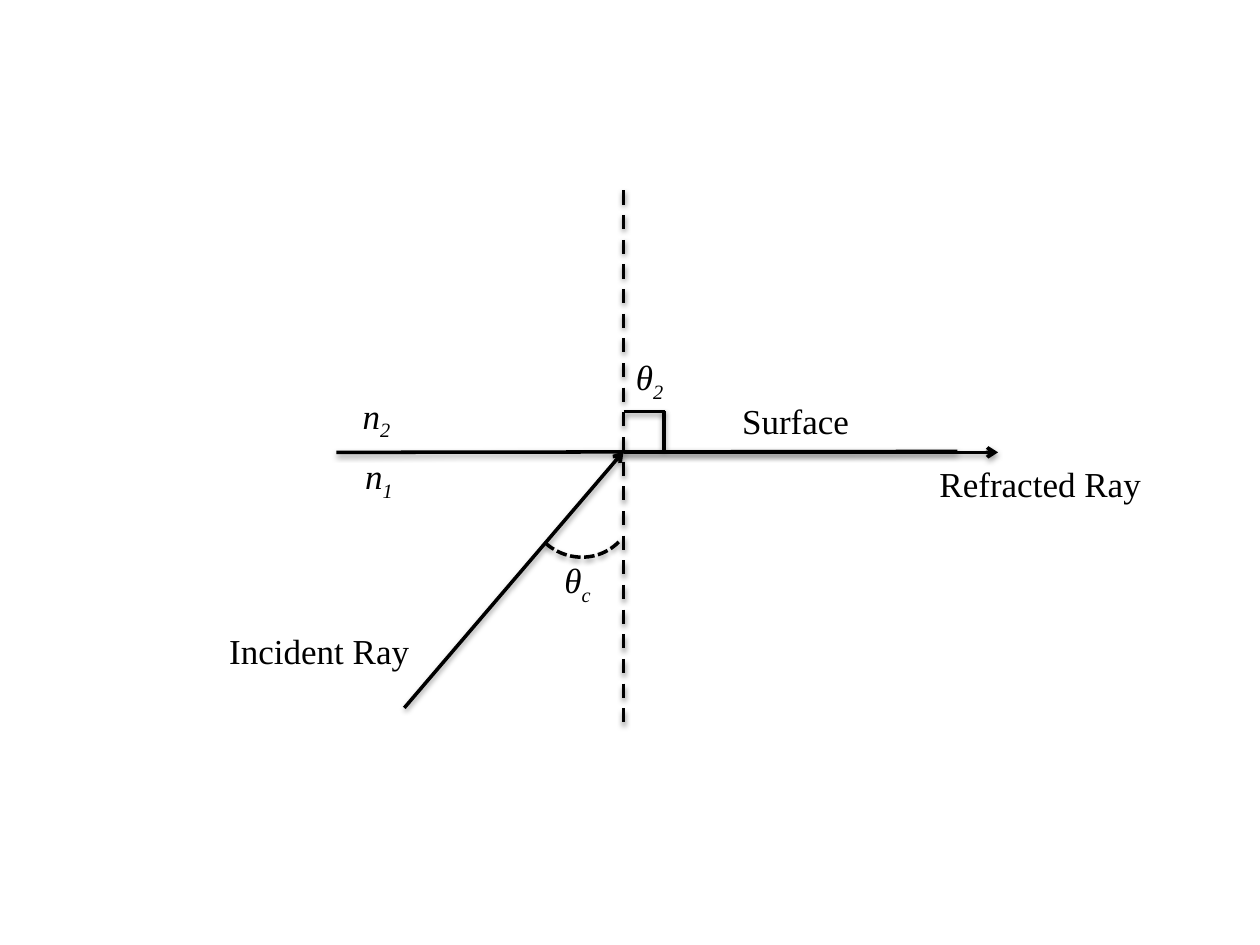
from lxml.etree import SubElement
from pptx import Presentation
from pptx.dml.color import RGBColor
from pptx.enum.dml import MSO_LINE
from pptx.enum.shapes import MSO_CONNECTOR, MSO_SHAPE
from pptx.enum.text import MSO_AUTO_SIZE
from pptx.oxml.ns import qn
from pptx.util import Cm, Pt

BLACK = RGBColor(0, 0, 0)
FONT = "Times New Roman"


def style_stroke(sp, dash=None, arrow=False):
    """Give a line or arc its black stroke, arrowhead and soft shadow."""
    sp.line.color.rgb = BLACK
    sp.line.width = Pt(2)
    if dash:
        sp.line.dash_style = dash
    spPr = sp._element.spPr
    if arrow:
        SubElement(spPr.find(qn("a:ln")), qn("a:tailEnd"), type="arrow")
    effects = spPr.find(qn("a:effectLst"))
    if effects is None:
        effects = SubElement(spPr, qn("a:effectLst"))
    shadow = SubElement(effects, qn("a:outerShdw"), blurRad="40000",
                        dist="20000", dir="5400000", rotWithShape="0")
    color = SubElement(shadow, qn("a:srgbClr"), val="000000")
    SubElement(color, qn("a:alpha"), val="38000")


def add_rays(s, x, y):
    """Draw the surface, normal, rays and angle marks around the point x, y."""
    lines = [
        (-5.79, 0.02, 6.73, 0, None, False),  # surface
        (-4.42, 5.17, 0, 0, None, True),  # incident ray
        (0, 0.02, 7.55, 0.02, None, True),  # refracted ray
        (0, -5.26, 0, 5.5, MSO_LINE.DASH, False),  # normal
        (0, -0.8, 0.83, -0.8, None, False),  # right angle, top
        (0.82, -0.82, 0.82, -0.03, None, False),  # right angle, side
    ]
    for x1, y1, x2, y2, dash, arrow in lines:
        line = s.shapes.add_connector(MSO_CONNECTOR.STRAIGHT, Cm(x + x1),
                                      Cm(y + y1), Cm(x + x2), Cm(y + y2))
        style_stroke(line, dash, arrow)

    arc = s.shapes.add_shape(MSO_SHAPE.ARC, Cm(x - 1.93), Cm(y - 0.03),
                             Cm(2.11), Cm(2.18))
    arc.rotation = 134.6
    arc.fill.background()
    arc.shadow.inherit = False
    style_stroke(arc, MSO_LINE.SQUARE_DOT)


def add_label(s, left, top, width, text, subscript=""):
    """Place a label; one with a subscript is a symbol set in italics."""
    sp = s.shapes.add_textbox(Cm(left), Cm(top), Cm(width), Cm(1.11))
    tf = sp.text_frame
    tf.word_wrap = True
    tf.auto_size = MSO_AUTO_SIZE.SHAPE_TO_FIT_TEXT
    p = tf.paragraphs[0]
    p.font.name = FONT
    p.font.size = Pt(20)
    p.font.color.rgb = BLACK
    p.add_run().text = text
    if subscript:
        p.font.italic = True
        r = p.add_run()
        r.text = subscript
        r.font._element.set("baseline", "-25000")


def add_labels(s, x, y):
    """Name the rays, media and angles around the point x, y."""
    for dx, dy, width, *words in [
        (0, -2.06, 2.87, "θ", "2"),
        (-5.51, -1.28, 2.87, "n", "2"),
        (-5.46, -0.06, 2.87, "n", "1"),
        (-1.44, 2.03, 2.87, "θ", "c"),
        (-8.2, 3.47, 4.14, "Incident Ray"),
        (6.12, 0.09, 4.72, "Refracted Ray"),
        (2.14, -1.18, 2.87, "Surface"),
    ]:
        add_label(s, x + dx, y + dy, width, *words)


prs = Presentation()
prs.slide_width, prs.slide_height = Cm(25.4), Cm(19.05)
s = prs.slides.add_slide(prs.slide_layouts[6])
crossing = (12.57, 9.1)
add_rays(s, *crossing)
add_labels(s, *crossing)
prs.save("out.pptx")
